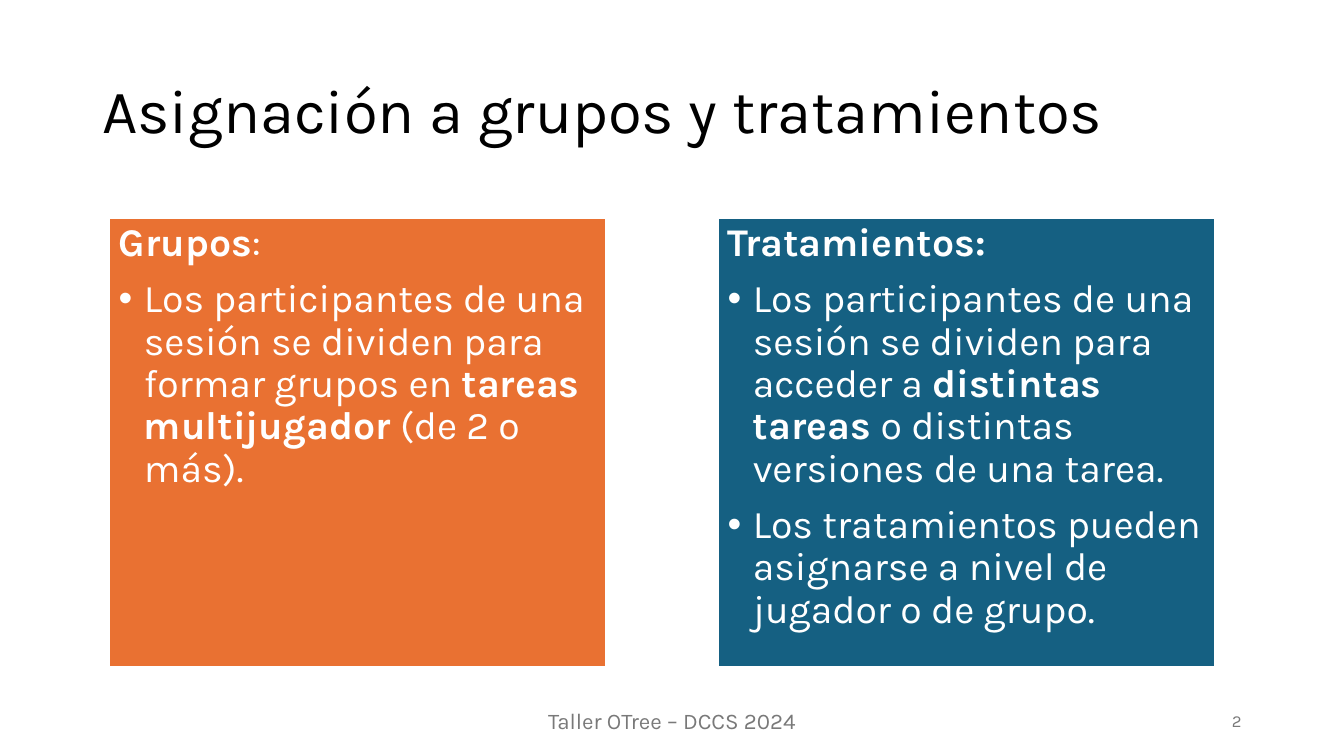
from dataclasses import dataclass

from lxml.etree import SubElement
from pptx import Presentation
from pptx.dml.color import RGBColor
from pptx.enum.shapes import MSO_SHAPE
from pptx.enum.text import MSO_ANCHOR, PP_ALIGN
from pptx.oxml.ns import qn
from pptx.util import Pt


@dataclass(frozen=True)
class Theme:
    """Hold the colours, font and type sizes of the deck."""
    font: str = "Karla"
    black: str = "000000"
    white: str = "FFFFFF"
    grey: str = "797979"
    orange: str = "E97132"
    blue: str = "156082"
    title_size: int = 44
    body_size: int = 28
    footer_size: int = 16
    number_size: int = 12


THEME = Theme()
TITLE_BOX = (66, 28.8, 828, 104.4)
CARDS_BOX = (77.76, 155.52, 790.56, 321.12)
FOOTER_BOX = (66, 500.4, 828, 28.8)
CARD_WIDTH = 355.68
INDENT = 18
CARDS = [
    (THEME.orange, [
        [("Grupos", True), (":", False)],
        [("Los participantes de una sesión se dividen para formar grupos en ", False),
         ("tareas multijugador", True), (" (de 2 o más).", False)],
    ]),
    (THEME.blue, [
        [("Tratamientos:", True)],
        [("Los participantes de una sesión se dividen para acceder a ", False),
         ("distintas tareas ", True),
         ("o distintas versiones de una tarea.", False)],
        [("Los tratamientos pueden asignarse a nivel de jugador o de grupo.", False)],
    ]),
]


def apply_format(target, values):
    """Set each named attribute of the target."""
    for name, value in values.items():
        setattr(target, name, value)


def add_span(para, text, size, color, bold=False):
    """Append one formatted run to a paragraph."""
    span = para.add_run()
    span.text = text
    apply_format(span.font, {"name": THEME.font, "size": Pt(size), "bold": bold})
    span.font.color.rgb = RGBColor.from_string(color)


def add_bullet(para):
    """Give a paragraph a hanging bullet."""
    properties = para._p.get_or_add_pPr()
    properties.set("marL", str(Pt(INDENT)))
    properties.set("indent", str(-Pt(INDENT)))
    SubElement(properties, qn("a:buFont"), typeface="Arial")
    SubElement(properties, qn("a:buChar"), char="•")


def add_label(page, box, text, size, color, values):
    """Place a single line of text, centred vertically in its box."""
    frame = page.shapes.add_textbox(*map(Pt, box)).text_frame
    apply_format(frame, {"word_wrap": True, "vertical_anchor": MSO_ANCHOR.MIDDLE})
    para = frame.paragraphs[0]
    apply_format(para, values)
    add_span(para, text, size, color)


def add_card(page, box, fill, paragraphs):
    """Draw a filled card with a heading and bullets."""
    card = page.shapes.add_shape(MSO_SHAPE.RECTANGLE, *map(Pt, box))
    card.shadow.inherit = False
    card.fill.solid()
    card.fill.fore_color.rgb = RGBColor.from_string(fill)
    card.line.color.rgb = RGBColor.from_string(THEME.white)
    card.line.width = Pt(2)
    frame = card.text_frame
    apply_format(frame, {"word_wrap": True, "vertical_anchor": MSO_ANCHOR.TOP})
    for index, spans in enumerate(paragraphs):
        para = frame.add_paragraph() if index else frame.paragraphs[0]
        if index:
            add_bullet(para)
        apply_format(para, {"alignment": PP_ALIGN.LEFT, "line_spacing": 0.9,
                            "space_before": Pt(10 if index else 0)})
        for text, bold in spans:
            add_span(para, text, THEME.body_size, THEME.white, bold)


def add_cards(page, box):
    """Spread the cards evenly across the box."""
    left, top, width, height = box
    step = (width - CARD_WIDTH) / (len(CARDS) - 1)
    for index, (fill, paragraphs) in enumerate(CARDS):
        add_card(page, (left + index * step, top, CARD_WIDTH, height), fill, paragraphs)


def add_footer(page, box):
    """Place the workshop name in the centre and the page number at the right."""
    left, top, width, height = box
    name_width, number_width = 324, 216
    add_label(page, (left + (width - name_width) / 2, top, name_width, height),
              "Taller OTree – DCCS 2024", THEME.footer_size, THEME.grey,
              {"alignment": PP_ALIGN.CENTER})
    add_label(page, (left + width - number_width, top, number_width, height),
              "2", THEME.number_size, THEME.grey, {"alignment": PP_ALIGN.RIGHT})


def main():
    """Build the slide and save the deck."""
    deck = Presentation()
    apply_format(deck, {"slide_width": Pt(960), "slide_height": Pt(540)})
    page = deck.slides.add_slide(deck.slide_layouts[6])
    add_label(page, TITLE_BOX, "Asignación a grupos y tratamientos",
              THEME.title_size, THEME.black,
              {"alignment": PP_ALIGN.LEFT, "line_spacing": 0.9})
    add_cards(page, CARDS_BOX)
    add_footer(page, FOOTER_BOX)
    deck.save("out.pptx")


if __name__ == "__main__":
    main()
